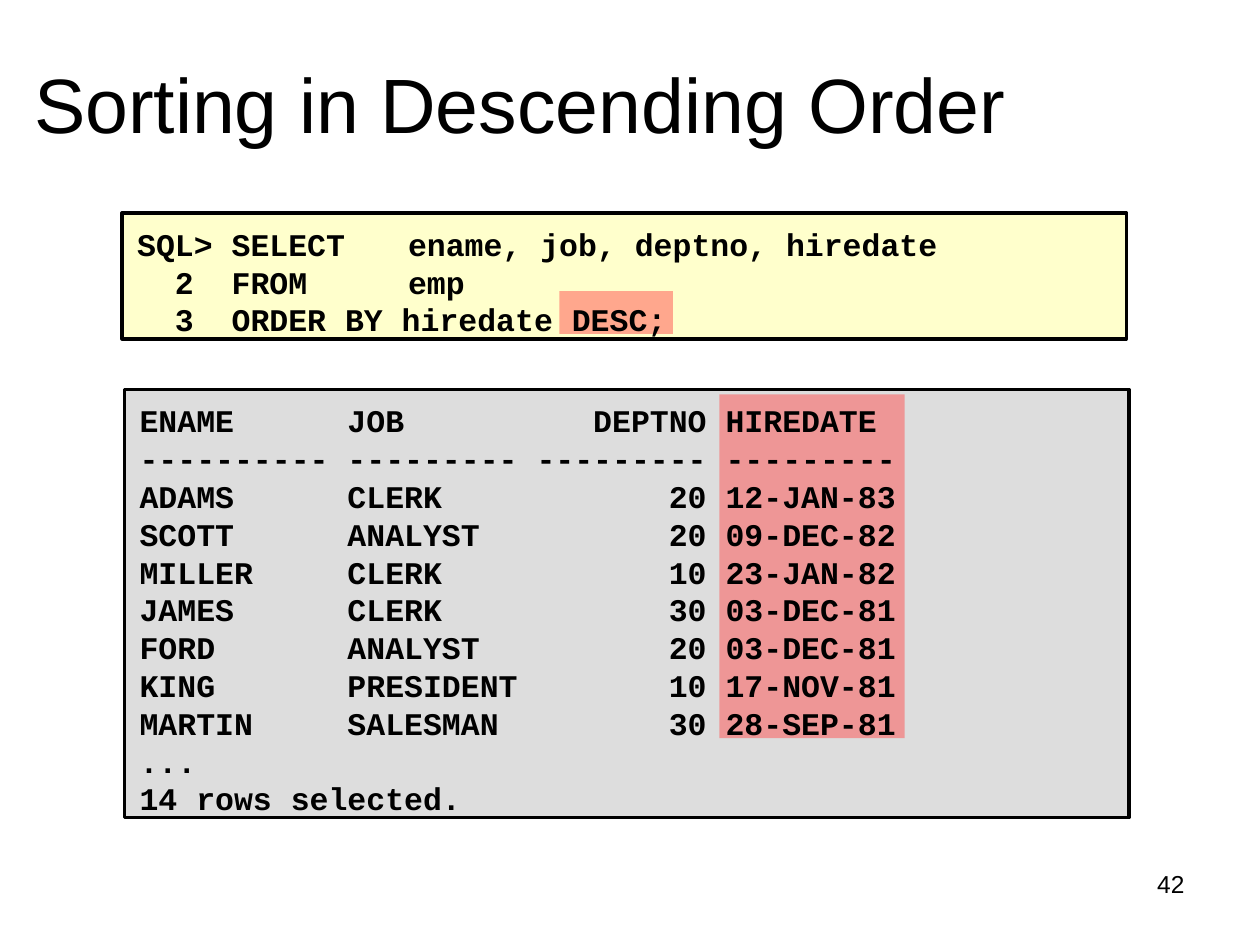
from typing import NamedTuple

from lxml.etree import SubElement
from pptx import Presentation
from pptx.dml.color import RGBColor
from pptx.enum.shapes import MSO_SHAPE
from pptx.enum.text import MSO_ANCHOR, MSO_AUTO_SIZE, PP_ALIGN
from pptx.oxml.ns import qn
from pptx.util import Inches, Pt

COLORS = {"ink": "000000", "code": "FFFFCC", "result": "DDDDDD", "highlight": "FF5050"}


class Area(NamedTuple):
    """Left, top, width and height in percent of the slide."""
    x: float
    y: float
    w: float
    h: float


class Panel(NamedTuple):
    """A framed background with the monospaced lines it carries."""
    frame: Area
    fill: str
    text: Area
    lines: list[str]


class Employee(NamedTuple):
    """One row of the query result."""
    ename: str
    job: str
    deptno: str
    hiredate: str

    def line(self) -> str:
        """Return the row in fixed-width columns."""
        return f"{self.ename:<10} {self.job:<9} {self.deptno:>9} {self.hiredate}"


QUERY = [
    "SQL> SELECT  \t ename, job, deptno, hiredate",
    "  2  FROM    \t emp",
    "  3  ORDER BY hiredate DESC;",
]
EMPLOYEES = [
    Employee("ENAME", "JOB", "DEPTNO", "HIREDATE"),
    Employee("-" * 10, "-" * 9, "-" * 9, "-" * 9),
    Employee("ADAMS", "CLERK", "20", "12-JAN-83"),
    Employee("SCOTT", "ANALYST", "20", "09-DEC-82"),
    Employee("MILLER", "CLERK", "10", "23-JAN-82"),
    Employee("JAMES", "CLERK", "30", "03-DEC-81"),
    Employee("FORD", "ANALYST", "20", "03-DEC-81"),
    Employee("KING", "PRESIDENT", "10", "17-NOV-81"),
    Employee("MARTIN", "SALESMAN", "30", "28-SEP-81"),
]
RESULT = [e.line() for e in EMPLOYEES] + ["...", "14 rows selected."]

PANELS = [
    Panel(Area(9.7, 22.53, 79.7, 13.33), "code", Area(9.9, 22.4, 80, 13.73), QUERY),
    Panel(Area(9.9, 41.2, 79.7, 45.33), "result", Area(10.1, 41.07, 80, 45.73), RESULT),
]
HIGHLIGHTS = [Area(44.4, 30.8, 9, 4.53), Area(57.1, 41.73, 14.7, 36.4)]
TITLE = Area(1.7, 4.4, 85, 16.67)
NUMBER = Area(71.7, 91.07, 23.3, 6.93)
TABS = (0, 1.31, 2)

prs = Presentation()
prs.slide_width, prs.slide_height = Inches(10), Inches(7.5)


def place(area: Area) -> tuple[int, int, int, int]:
    """Turn percentages into slide lengths."""
    w, h = prs.slide_width, prs.slide_height
    return tuple(int(v * size / 100) for v, size in zip(area, (w, h, w, h)))


def add_rect(s, area: Area, fill: str, outlined: bool = True, alpha: int = 100):
    """Draw a rectangle, outlined or translucent."""
    sp = s.shapes.add_shape(MSO_SHAPE.RECTANGLE, *place(area))
    sp.shadow.inherit = False
    sp.fill.solid()
    sp.fill.fore_color.rgb = RGBColor.from_string(COLORS[fill])
    if alpha < 100:
        color = sp.fill._xPr.find(qn("a:solidFill"))[0]
        SubElement(color, qn("a:alpha"), val=str(alpha * 1000))
    if outlined:
        sp.line.color.rgb = RGBColor.from_string(COLORS["ink"])
        sp.line.width = Pt(2)
    else:
        sp.line.fill.background()


def style(p, font: str, size: float, align: PP_ALIGN = PP_ALIGN.LEFT, bold: bool = False):
    """Set the look of one paragraph."""
    p.alignment = align
    p.font.name, p.font.size, p.font.bold = font, Pt(size), bold
    p.font.color.rgb = RGBColor.from_string(COLORS["ink"])


def set_frame(tf, anchor: MSO_ANCHOR, top: float, bottom: float):
    """Set wrapping, anchoring and the vertical insets in inches."""
    tf.word_wrap = True
    tf.auto_size = MSO_AUTO_SIZE.NONE
    tf.vertical_anchor = anchor
    tf.margin_top, tf.margin_bottom = Inches(top), Inches(bottom)


def add_code(s, area: Area, lines: list[str]):
    """Write monospaced lines with tab stops."""
    tf = s.shapes.add_textbox(*place(area)).text_frame
    set_frame(tf, MSO_ANCHOR.MIDDLE, 0.09, 0.01)
    for i, line in enumerate(lines):
        p = tf.add_paragraph() if i else tf.paragraphs[0]
        p.add_run().text = line
        tabs = SubElement(p._p.get_or_add_pPr(), qn("a:tabLst"))
        for stop in TABS:
            SubElement(tabs, qn("a:tab"), pos=str(Inches(stop)), algn="l")
        p.line_spacing = Pt(21.6)
        style(p, "Courier New", 18, bold=True)


def main():
    """Build the slide and save it."""
    s = prs.slides.add_slide(prs.slide_layouts[5])
    title = s.shapes.title
    title.left, title.top, title.width, title.height = place(TITLE)
    title.text_frame.text = "Sorting in Descending Order"
    set_frame(title.text_frame, MSO_ANCHOR.TOP, 0.12, 0.05)
    style(title.text_frame.paragraphs[0], "Arial", 44)

    for panel in PANELS:
        add_rect(s, panel.frame, panel.fill)
    for area in HIGHLIGHTS:
        add_rect(s, area, "highlight", outlined=False, alpha=50)
    for panel in PANELS:
        add_code(s, panel.text, panel.lines)

    tf = s.shapes.add_textbox(*place(NUMBER)).text_frame
    tf.text = "42"
    set_frame(tf, MSO_ANCHOR.TOP, 0.07, 0.05)
    style(tf.paragraphs[0], "Arial", 14, PP_ALIGN.RIGHT)
    prs.save("out.pptx")


if __name__ == "__main__":
    main()
